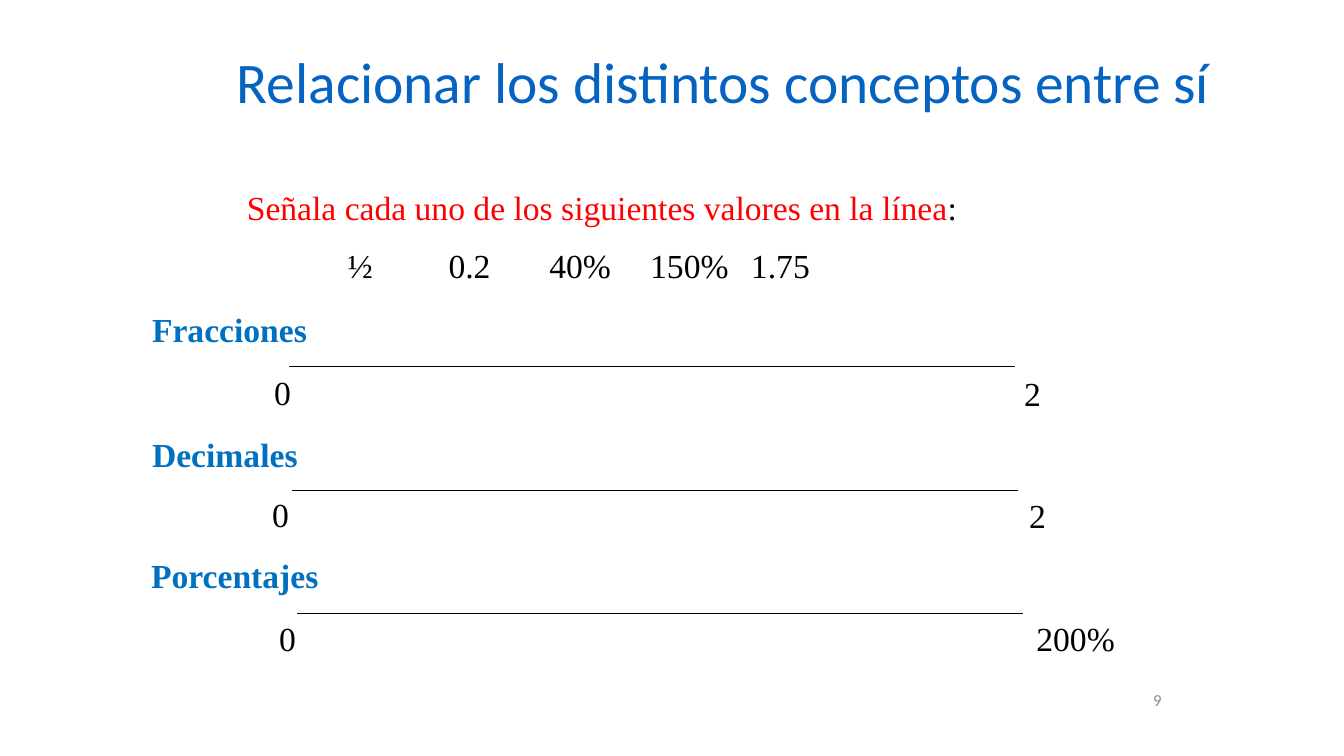
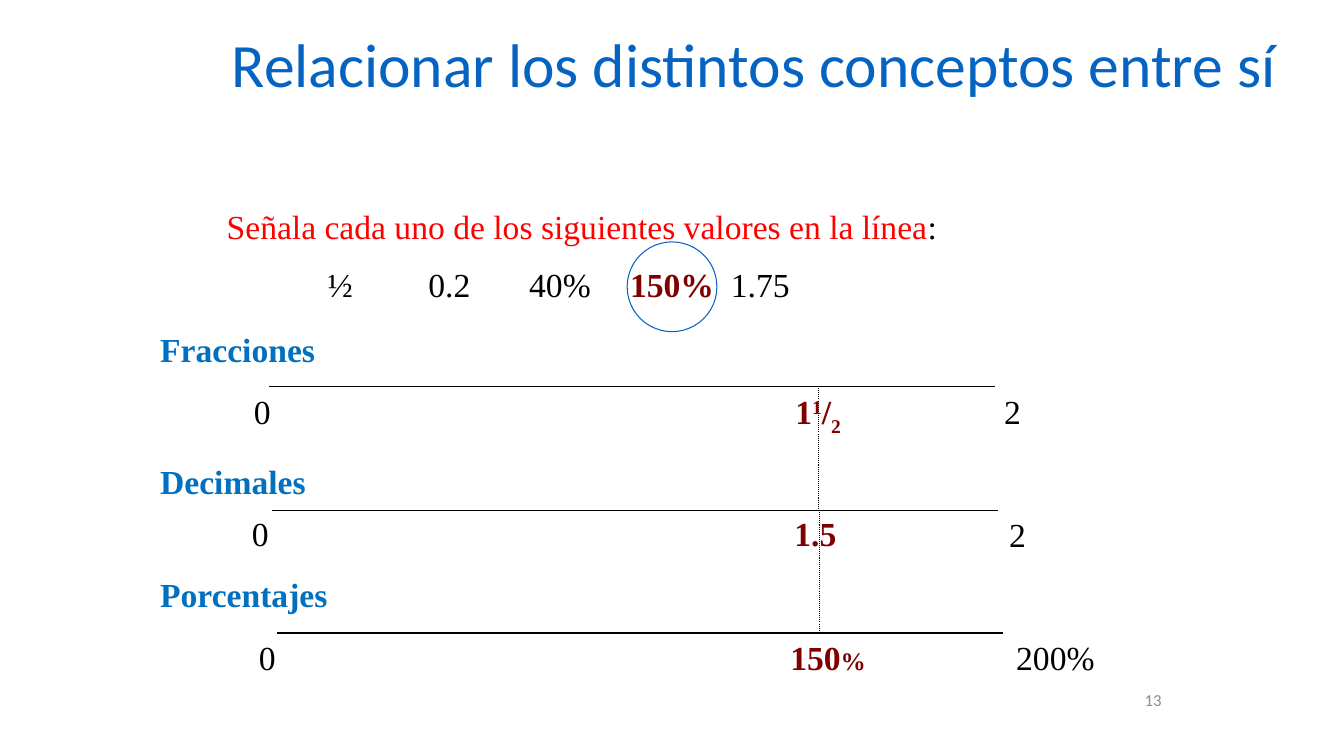
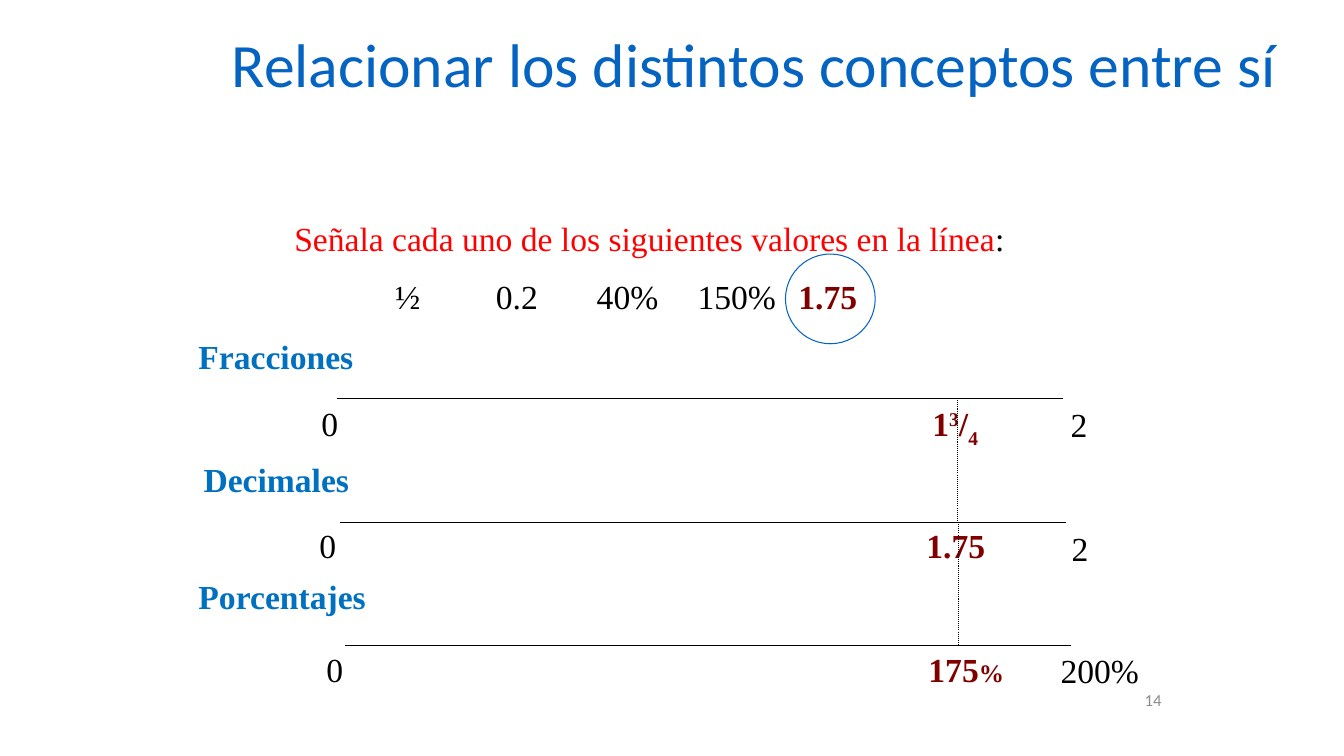
from lxml.etree import SubElement
from pptx import Presentation
from pptx.dml.color import RGBColor
from pptx.enum.dml import MSO_LINE_DASH_STYLE as Dash
from pptx.enum.shapes import MSO_CONNECTOR, MSO_SHAPE
from pptx.enum.text import MSO_ANCHOR as Anchor, PP_ALIGN as Align
from pptx.oxml.ns import qn
from pptx.util import Inches, Pt

BLACK = RGBColor(0x00, 0x00, 0x00)
GRAY = RGBColor(0x8C, 0x8C, 0x8C)
RED = RGBColor(0xFF, 0x00, 0x00)
MAROON = RGBColor(0x80, 0x00, 0x00)
TITLE_BLUE = RGBColor(0x05, 0x63, 0xC1)
LABEL_BLUE = RGBColor(0x00, 0x70, 0xC0)
SANS, SERIF = "Calibri", "Times New Roman"

TITLE = "Relacionar los distintos conceptos entre sí"
TASK = "Señala cada uno de los siguientes valores en la línea"
VALUES = ["½", "0.2", "40%", "150%", "1.75"]

# Number lines: name, upper end, then offsets from the slide's origin
SCALES = [
    {"name": "Fracciones", "end": "2", "line": (0.52, 1.84), "zero": (0.27, 1.84)},
    {"name": "Decimales", "end": "2", "line": (0.55, 3.07), "zero": (0.25, 3.05)},
    {"name": "Porcentajes", "end": "200%", "line": (0.6, 4.29), "zero": (0.32, 4.28)},
]
LINE_LENGTH = 7.2
LINE_GAP = 1.22
CIRCLE_SIZE = 0.89

TITLE_LOW = {"at": (2.25, 0.49, 9.88, 1.25), "size": 41}
TITLE_HIGH = {"at": (2.2, 0.29, 10.77, 1.25), "size": 44}

# "origin" is the corner of the task box; "ends", "answers", "marker" and
# "circle" are offsets from it, "labels" are places on the slide.
SLIDES = [
    {
        "number": "9", "title": TITLE_LOW, "origin": (2.35, 1.8),
        "labels": [(1.41, 3.02), (1.41, 4.26), (1.4, 5.46)],
        "ends": [(7.71, 1.85), (7.76, 3.06), (7.83, 4.28)],
    },
    {
        "number": "13", "title": TITLE_HIGH, "origin": (2.15, 1.99),
        "labels": [(1.49, 3.21), (1.49, 4.52), (1.49, 5.64)],
        "ends": [(7.71, 1.84), (7.76, 3.06), (7.83, 4.28)],
        "chosen": "150%", "circle": 4.07, "marker": 5.97,
        "answers": [
            (5.64, [("1", {}), ("1", {"baseline": 30}), ("/", {}), ("2", {"baseline": -25})]),
            (5.63, [("1.5", {})]),
            (5.59, [("150", {}), ("%", {"size": 18})]),
        ],
    },
    {
        "number": "14", "title": TITLE_HIGH, "origin": (2.82, 2.11),
        "labels": [(1.87, 3.28), (1.92, 4.5), (1.87, 5.66)],
        "ends": [(7.7, 1.85), (7.71, 3.08), (7.6, 4.29)],
        "chosen": "1.75", "circle": 4.97, "marker": 6.68,
        "answers": [
            (6.33, [("1", {}), ("3", {"baseline": 30}), ("/", {}), ("4", {"baseline": -25})]),
            (6.27, [("1.75", {})]),
            (6.29, [("175", {}), ("%", {"size": 18})]),
        ],
    },
]


def add_span(para, text, size=24, font=SERIF, color=BLACK, bold=False, baseline=0):
    """Add a run; baseline is a percentage, positive for superscript."""
    span = para.add_run()
    span.text = text
    span.font.size = Pt(size)
    span.font.name = font
    span.font.color.rgb = color
    span.font.bold = bold
    if baseline:
        span._r.get_or_add_rPr().set("baseline", str(baseline * 1000))


def add_text(shapes, at, spans, align=Align.LEFT, anchor=Anchor.TOP, **style):
    """Add a text box; spans is a string or a list of (text, format) pairs."""
    box = shapes.add_textbox(*map(Inches, at))
    frame = box.text_frame
    frame.word_wrap = True
    frame.vertical_anchor = anchor
    para = frame.paragraphs[0]
    para.alignment = align
    for text, own in [(spans, {})] if isinstance(spans, str) else spans:
        add_span(para, text, **{**style, **own})
    return frame


def add_line(shapes, x1, y1, x2, y2, dash=None):
    line = shapes.add_connector(MSO_CONNECTOR.STRAIGHT, *map(Inches, (x1, y1, x2, y2)))
    line.line.color.rgb = BLACK
    line.line.width = Pt(0.75)
    if dash:
        line.line.dash_style = dash
    SubElement(line._element.spPr, qn("a:effectLst"))


def add_task(page, left, top, chosen):
    frame = add_text(page.shapes, (left, top, 9.02, 1.11),
                     [(TASK, {"color": RED}), (":", {})])
    para = frame.add_paragraph()
    tabs = SubElement(para._p.get_or_add_pPr(), qn("a:tabLst"))
    for position in range(1, len(VALUES) + 1):
        SubElement(tabs, qn("a:tab"), pos=str(Inches(position)), algn="l")
    para.space_before = Pt(13)
    for value in VALUES:
        picked = value == chosen
        add_span(para, "\t" + value, color=MAROON if picked else BLACK, bold=picked)


def add_scale(page, left, top, scale, label, end):
    shapes = page.shapes.add_group_shape().shapes
    line_x, line_y = left + scale["line"][0], top + scale["line"][1]
    add_line(shapes, line_x, line_y, line_x + LINE_LENGTH, line_y)
    add_text(shapes, (*label, 2.52, 0.5), scale["name"], color=LABEL_BLUE, bold=True)
    for text, (x, y) in (("0", scale["zero"]), (scale["end"], end)):
        width = 0.57 if len(text) == 1 else 1.19
        add_text(shapes, (left + x, top + y, width, 0.5), text)


def add_solution(page, left, top, content):
    """Circle the chosen value and mark it on the three number lines."""
    for scale, (x, spans) in zip(SCALES, content["answers"]):
        add_text(page.shapes, (left + x, top + scale["zero"][1], 1.14, 0.5), spans,
                 color=MAROON, bold=True)
    for index, scale in enumerate(SCALES[:-1]):
        x = left + content["marker"] + 0.01 * index
        y = top + scale["line"][1]
        add_line(page.shapes, x, y, x, y + LINE_GAP, dash=Dash.ROUND_DOT)
    circle = page.shapes.add_shape(
        MSO_SHAPE.OVAL, Inches(left + content["circle"]), Inches(top + 0.41),
        Inches(CIRCLE_SIZE), Inches(CIRCLE_SIZE))
    circle.shadow.inherit = False
    circle.fill.background()
    circle.line.color.rgb = TITLE_BLUE
    circle.line.width = Pt(0.75)


def add_slide(deck, content):
    page = deck.slides.add_slide(deck.slide_layouts[6])
    left, top = content["origin"]
    title = add_text(page.shapes, content["title"]["at"], TITLE, font=SANS,
                     size=content["title"]["size"], color=TITLE_BLUE)
    title.paragraphs[0].line_spacing = 0.9
    add_text(page.shapes, (9.29, 6.74, 2.33, 0.4), content["number"], font=SANS,
             size=12, color=GRAY, align=Align.RIGHT, anchor=Anchor.MIDDLE)
    add_task(page, left, top, content.get("chosen"))
    for scale, label, end in zip(SCALES, content["labels"], content["ends"]):
        add_scale(page, left, top, scale, label, end)
    if "chosen" in content:
        add_solution(page, left, top, content)


def main():
    deck = Presentation()
    deck.slide_width, deck.slide_height = Inches(13.33), Inches(7.5)
    for content in SLIDES:
        add_slide(deck, content)
    deck.save("out.pptx")


if __name__ == "__main__":
    main()
